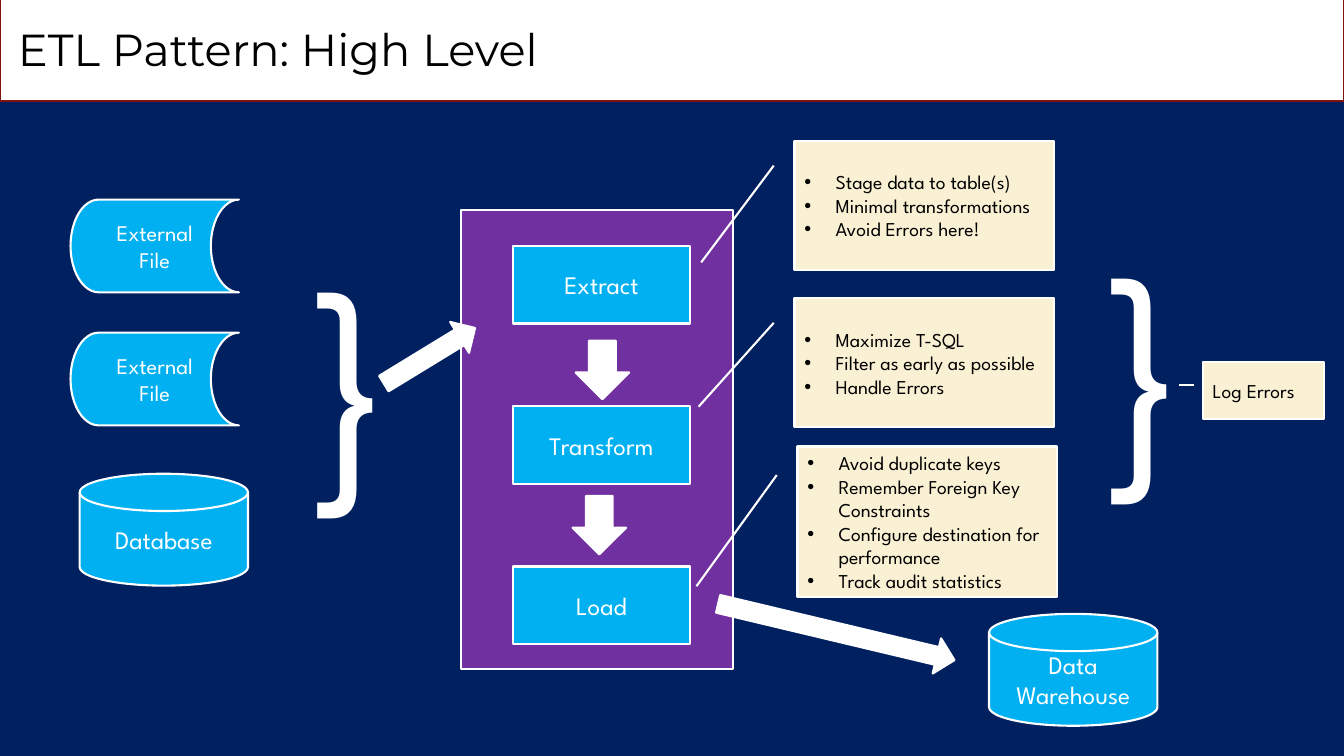
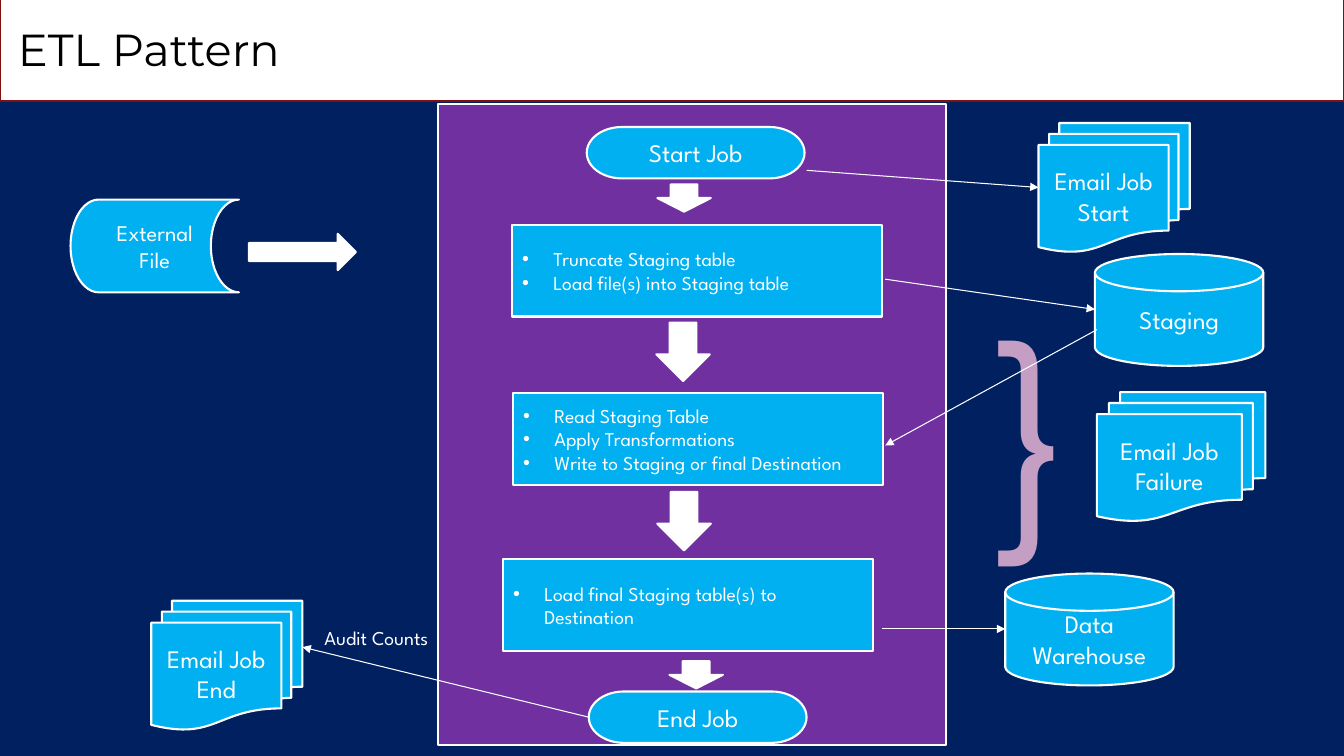
from dataclasses import dataclass, replace
from typing import NamedTuple

import pptx
import pptx.dml.color
import pptx.enum.shapes
import pptx.enum.text
import pptx.oxml
import pptx.oxml.ns
import pptx.util

Inches = pptx.util.Inches
Pt = pptx.util.Pt
MSO = pptx.enum.shapes.MSO_SHAPE
ALIGN = pptx.enum.text.PP_ALIGN
NS = pptx.oxml.ns.nsdecls("a")


@dataclass(frozen=True)
class Theme:
    navy: str = "002060"
    white: str = "FFFFFF"
    black: str = "000000"
    maroon: str = "82100E"
    blue: str = "00B0F0"
    purple: str = "7030A0"
    cream: str = "FAF1D4"
    mauve: str = "C59EC3"
    title_font: str = "Montserrat"
    body_font: str = "League Spartan"
    title_size: int = 32
    label_size: int = 18
    file_size: int = 16
    note_size: int = 14
    brace_size: int = 180
    outline: float = 1.5
    thin: float = 0.75
    bullet_indent: float = 0.31


T = Theme()


@dataclass(frozen=True)
class Kind:
    shape: int
    width: float
    height: float
    fill: str = T.blue
    line: str = T.white
    color: str = T.white
    size: int = T.label_size
    align: int = ALIGN.CENTER
    bullets: bool = False


BAND = Kind(MSO.RECTANGLE, 13.33, 1.08, T.white, T.maroon)
FILE = Kind(MSO.FLOWCHART_STORED_DATA, 1.67, 0.92, size=T.file_size)
DISK = Kind(MSO.FLOWCHART_MAGNETIC_DISK, 1.67, 1.11)
STEP = Kind(MSO.RECTANGLE, 1.75, 0.77)
TASK = Kind(MSO.RECTANGLE, 3.67, 0.91, size=T.note_size, align=ALIGN.LEFT, bullets=True)
ENDPOINT = Kind(MSO.FLOWCHART_TERMINATOR, 2.16, 0.51)
EMAIL = Kind(MSO.FLOWCHART_MULTIDOCUMENT, 1.5, 1.28)
WIDE_EMAIL = replace(EMAIL, width=1.67)
ETL_PANEL = Kind(MSO.FLOWCHART_PROCESS, 2.7, 4.56, T.purple)
JOB_PANEL = replace(ETL_PANEL, width=5.04, height=6.36)
DOWN = Kind(MSO.DOWN_ARROW, 0.53, 0.58, T.white)
SHORT_DOWN = replace(DOWN, height=0.27)
RIGHT = Kind(MSO.RIGHT_ARROW, 1.06, 0.36, T.white)
LONG_RIGHT = replace(RIGHT, width=2.41)
NOTE = Kind(MSO.LINE_CALLOUT_1, 2.57, 1.28, T.cream, color=T.black,
            size=T.note_size, align=ALIGN.LEFT, bullets=True)
TALL_NOTE = replace(NOTE, height=1.49)
LOG_NOTE = replace(NOTE, width=1.2, height=0.57, bullets=False)


class Node(NamedTuple):
    kind: Kind
    left: float
    top: float
    lines: tuple[str, ...] = ()
    rotation: float = 0
    pointer: tuple[float, ...] = ()


class Link(NamedTuple):
    start: tuple[float, float]
    end: tuple[float, float]
    begin_node: str = ""
    end_node: str = ""


def rgb(value: str) -> pptx.dml.color.RGBColor:
    return pptx.dml.color.RGBColor.from_string(value)


def write_text(tf, lines: tuple[str, ...], *, size: int, color: str = T.white,
               font: str = T.body_font, align: int = ALIGN.LEFT,
               bullets: bool = False) -> None:
    tf.word_wrap = True
    for i, line in enumerate(lines):
        p = tf.add_paragraph() if i else tf.paragraphs[0]
        p.alignment = align
        if bullets:
            pPr = p._p.get_or_add_pPr()
            pPr.set("marL", str(Inches(T.bullet_indent)))
            pPr.set("indent", str(-Inches(T.bullet_indent)))
            pPr.append(pptx.oxml.parse_xml(f'<a:buFont {NS} typeface="Arial"/>'))
            pPr.append(pptx.oxml.parse_xml(f'<a:buChar {NS} char="•"/>'))
        r = p.add_run()
        r.text = line
        r.font.name = font
        r.font.size = Pt(size)
        r.font.color.rgb = rgb(color)


def add_text(s, left: float, top: float, width: float, height: float, text: str, **fmt) -> None:
    box = s.shapes.add_textbox(Inches(left), Inches(top), Inches(width), Inches(height))
    write_text(box.text_frame, (text,), **fmt)


def add_brace(s, left: float, top: float, color: str = T.white) -> None:
    add_text(s, left, top, 0.9, 3.13, "}", size=T.brace_size, color=color)


def add_node(s, node: Node):
    kind = node.kind
    sp = s.shapes.add_shape(kind.shape, Inches(node.left), Inches(node.top),
                            Inches(kind.width), Inches(kind.height))
    sp.shadow.inherit = False
    sp.fill.solid()
    sp.fill.fore_color.rgb = rgb(kind.fill)
    sp.line.color.rgb = rgb(kind.line)
    sp.line.width = Pt(T.outline)
    sp.rotation = node.rotation
    for i, value in enumerate(node.pointer):
        sp.adjustments[i] = value
    if node.lines:
        sp.text_frame.vertical_anchor = pptx.enum.text.MSO_ANCHOR.MIDDLE
        write_text(sp.text_frame, node.lines, size=kind.size, color=kind.color,
                   align=kind.align, bullets=kind.bullets)
    return sp


def add_link(s, link: Link, shapes: dict) -> None:
    (x1, y1), (x2, y2) = link.start, link.end
    line = s.shapes.add_connector(pptx.enum.shapes.MSO_CONNECTOR.STRAIGHT,
                                  Inches(x1), Inches(y1), Inches(x2), Inches(y2))
    if link.begin_node:
        line.begin_connect(shapes[link.begin_node], 1)
    if link.end_node:
        line.end_connect(shapes[link.end_node], 1)
    line.line.color.rgb = rgb(T.white)
    line.line.width = Pt(T.thin)
    line.line._get_or_add_ln().append(pptx.oxml.parse_xml(f'<a:tailEnd {NS} type="triangle"/>'))
    line._element.spPr.append(pptx.oxml.parse_xml(f"<a:effectLst {NS}/>"))


def add_slide(prs, title: str, nodes: list[Node]):
    s = prs.slides.add_slide(prs.slide_layouts[6])
    s.background.fill.solid()
    s.background.fill.fore_color.rgb = rgb(T.navy)
    add_node(s, Node(BAND, 0, -0.08))
    add_text(s, 0.08, 0.17, 6, 0.64, title, size=T.title_size,
             color=T.black, font=T.title_font)
    shapes = {" ".join(node.lines): add_node(s, node) for node in nodes}
    return s, shapes


SOURCE_FILE = Node(FILE, 0.7, 1.98, ("External", "File"))
WAREHOUSE = ("Data", "Warehouse")


def build_overview(prs) -> None:
    steps = [Node(STEP, 5.09, 2.44 + 1.59 * i, (name,))
             for i, name in enumerate(("Extract", "Transform", "Load"))]
    s, _ = add_slide(prs, "ETL Pattern: High Level", [
        SOURCE_FILE,
        Node(FILE, 0.7, 3.3, ("External File",)),
        Node(DISK, 0.79, 4.7, ("Database",)),
        Node(DISK, 9.81, 6.09, WAREHOUSE),
        Node(ETL_PANEL, 4.57, 2.08),
        *steps,
        Node(RIGHT, 3.73, 3.35, rotation=328.6),
        Node(DOWN, 5.71, 3.38),
        Node(DOWN, 5.68, 4.92),
        Node(LONG_RIGHT, 7.09, 6.09, rotation=13.4),
        Node(NOTE, 7.88, 1.4,
             ("Stage data to table(s)", "Minimal transformations", "Avoid Errors here!"),
             pointer=(0.19, -0.08, 0.94, -0.36)),
        Node(NOTE, 7.88, 2.96,
             ("Maximize T-SQL", "Filter as early as possible", "Handle Errors"),
             pointer=(0.19, -0.08, 0.84, -0.37)),
        Node(TALL_NOTE, 7.91, 4.43,
             ("Avoid duplicate keys", "Remember Foreign Key Constraints",
              "Configure destination for performance", "Track audit statistics"),
             pointer=(0.19, -0.08, 0.93, -0.39)),
        Node(LOG_NOTE, 11.93, 3.59, ("Log Errors",), pointer=(0.41, -0.07, 0.41, -0.2)),
    ])
    add_brace(s, 2.83, 2.08)
    add_brace(s, 10.71, 1.94)


def build_job(prs) -> None:
    s, shapes = add_slide(prs, "ETL Pattern", [
        SOURCE_FILE,
        Node(RIGHT, 2.47, 2.32),
        Node(JOB_PANEL, 4.34, 1.03),
        Node(ENDPOINT, 5.82, 1.26, ("Start Job",)),
        Node(SHORT_DOWN, 6.52, 1.83),
        Node(TASK, 5.08, 2.23, ("Truncate Staging table", "Load file(s) into Staging table")),
        Node(DOWN, 6.51, 3.2),
        Node(TASK, 5.09, 3.9, ("Read Staging Table", "Apply Transformations",
                               "Write to Staging or final Destination")),
        Node(DOWN, 6.52, 4.88),
        Node(TASK, 4.99, 5.55, ("Load final Staging table(s) to Destination",)),
        Node(SHORT_DOWN, 6.64, 6.56),
        Node(ENDPOINT, 5.84, 6.86, ("End Job",)),
        Node(EMAIL, 10.3, 1.22, ("Email Job Start",)),
        Node(DISK, 10.86, 2.52, ("Staging",)),
        Node(WIDE_EMAIL, 10.88, 3.89, ("Email Job Failure",)),
        Node(DISK, 9.97, 5.69, WAREHOUSE),
        Node(EMAIL, 1.5, 5.96, ("Email Job End",)),
    ])
    add_brace(s, 9.59, 2.56, T.mauve)
    add_text(s, 3.12, 6.16, 1.43, 0.34, "Audit Counts", size=T.note_size)
    for link in (
        Link((8, 1.69), (10.3, 1.86), end_node="Email Job Start"),
        Link((8.78, 2.77), (10.86, 3.07)),
        Link((10.88, 3.27), (8.78, 4.42)),
        Link((8.75, 6.24), (9.97, 6.24)),
        Link((5.84, 7.12), (3, 6.42), begin_node="End Job"),
    ):
        add_link(s, link, shapes)


def main() -> None:
    prs = pptx.Presentation()
    prs.slide_width = Inches(13.33)
    prs.slide_height = Inches(7.5)
    build_overview(prs)
    build_job(prs)
    prs.save("out.pptx")


if __name__ == "__main__":
    main()
